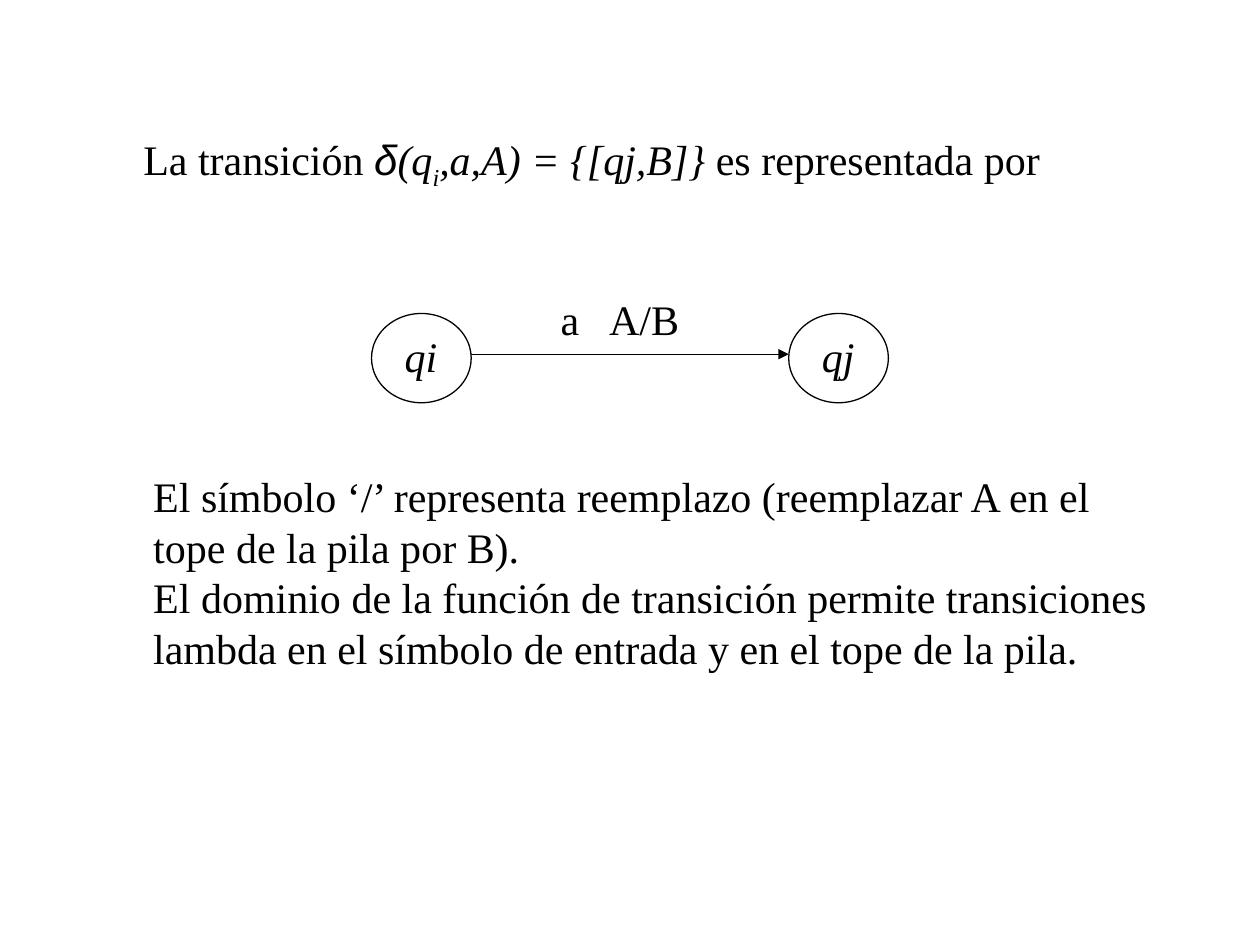
from lxml import etree
from pptx import Presentation, util as u
from pptx.dml.color import RGBColor
from pptx.enum import shapes, text
from pptx.oxml.ns import qn

THEME = {
    "ink": RGBColor(0, 0, 0),
    "serif": "Times New Roman",
    "sans": "Arial",
    "size": u.Pt(24),
    "stroke": u.Pt(0.75),
}

# Each paragraph is a list of (words, format) runs.
ITALIC = {"italic": True}
TRANSITION = [[
    ("La transición ", {}),
    ("δ", {"italic": True, "name": THEME["sans"]}),
    ("(q", ITALIC),
    ("i", {"italic": True, "baseline": -25}),
    (",a,A) = {[qj,B]} ", ITALIC),
    ("es representada por", {}),
]]
STATES = ["qi", "qj"]
ARC_LABEL = [[("a\tA/B", {})]]
EXPLANATION = [
    [("El símbolo ‘/’ representa reemplazo (reemplazar A en el tope de la "
      "pila por B).", {})],
    [("El dominio de la función de transición permite transiciones lambda en "
      "el símbolo de entrada y en el tope de la pila.", {})],
]

# Lengths in centimetres
STATE_LEFT, STATE_TOP, STATE_STEP = 7.49, 6.32, 8.41
STATE_W, STATE_H = 2.01, 1.8
LABEL_W, LABEL_H = 1.17, 1.27
ARC_Y = 7.14
ARC_TAB = 0.98


def add_text(slide, box, paragraphs, wrap=True, tab=None):
    frame = slide.shapes.add_textbox(*map(u.Cm, box)).text_frame
    frame.word_wrap = wrap
    frame.auto_size = text.MSO_AUTO_SIZE.NONE
    for index, runs in enumerate(paragraphs):
        paragraph = frame.add_paragraph() if index else frame.paragraphs[0]
        if tab:
            stops = etree.SubElement(paragraph._p.get_or_add_pPr(), qn("a:tabLst"))
            etree.SubElement(stops, qn("a:tab"), pos=str(u.Cm(tab)), algn="l")
        for words, changes in runs:
            run = paragraph.add_run()
            run.text = words
            run.font.color.rgb = THEME["ink"]
            style = {"name": THEME["serif"], "size": THEME["size"], **changes}
            baseline = style.pop("baseline", None)
            for key, value in style.items():
                setattr(run.font, key, value)
            if baseline:
                run._r.get_or_add_rPr().set("baseline", str(baseline * 1000))


def add_state(slide, left):
    circle = slide.shapes.add_shape(
        shapes.MSO_SHAPE.OVAL, *map(u.Cm, (left, STATE_TOP, STATE_W, STATE_H)))
    circle.shadow.inherit = False
    circle.fill.background()
    circle.line.color.rgb = THEME["ink"]
    circle.line.width = THEME["stroke"]


def add_arc(slide, start, end):
    arc = slide.shapes.add_connector(
        shapes.MSO_CONNECTOR.STRAIGHT, *map(u.Cm, (start, ARC_Y, end, ARC_Y)))
    arc.line.color.rgb = THEME["ink"]
    arc.line.width = THEME["stroke"]
    etree.SubElement(arc.line._get_or_add_ln(), qn("a:tailEnd"), type="triangle")
    etree.SubElement(arc._element.spPr, qn("a:effectLst"))


def main():
    deck = Presentation()
    deck.slide_width, deck.slide_height = u.Cm(25.4), u.Cm(19.05)
    slide = deck.slides.add_slide(deck.slide_layouts[6])

    add_text(slide, (2.64, 2.57, 18.67, 3.45), TRANSITION)

    lefts = [STATE_LEFT + i * STATE_STEP for i in range(len(STATES))]
    for left in lefts:
        add_state(slide, left)
    for left, following in zip(lefts, lefts[1:]):
        add_arc(slide, left + STATE_W, following)
    add_text(slide, (11.05, 5.79, 3.1, LABEL_H), ARC_LABEL, tab=ARC_TAB)
    for left, state in zip(lefts, STATES):
        label_left = left + (STATE_W - LABEL_W) / 2
        add_text(slide, (label_left, STATE_TOP + 0.21, LABEL_W, LABEL_H),
                 [[(state, ITALIC)]], wrap=False)

    add_text(slide, (2.84, 9.37, 20.65, 5.33), EXPLANATION)
    deck.save("out.pptx")


if __name__ == "__main__":
    main()
